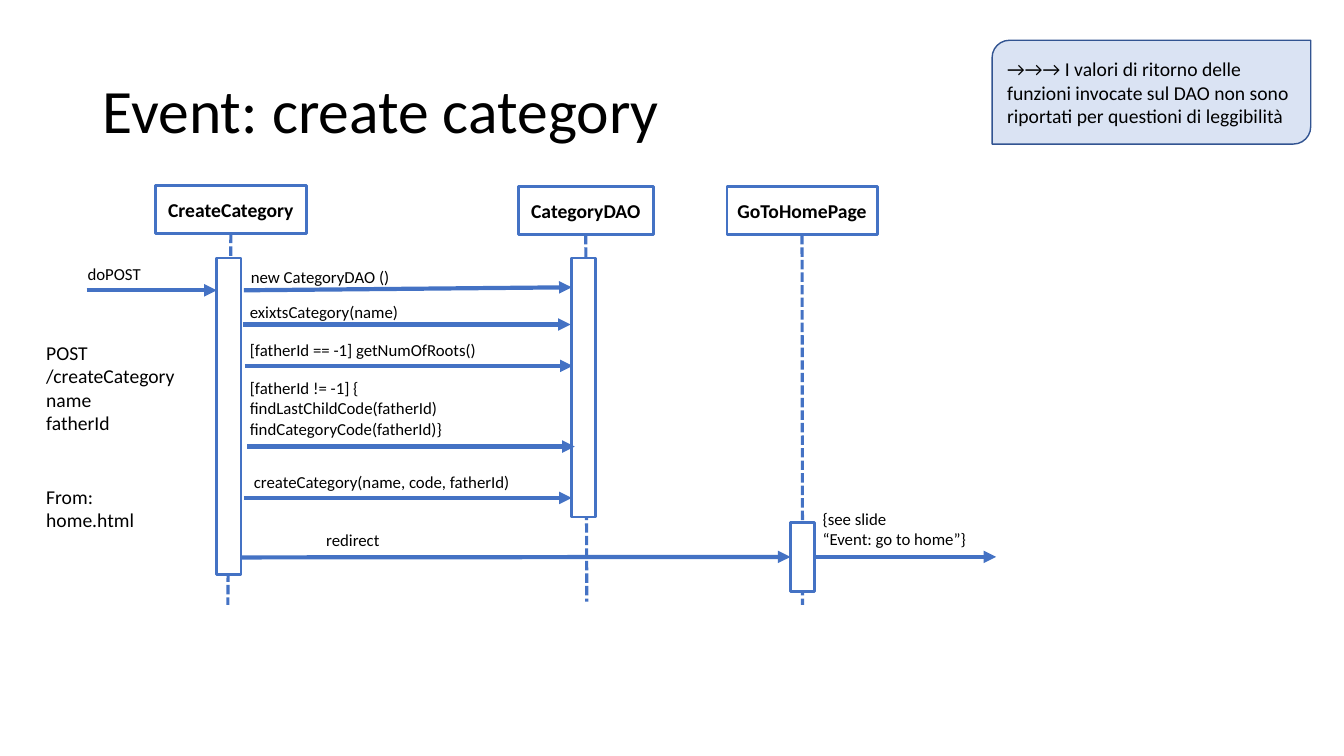
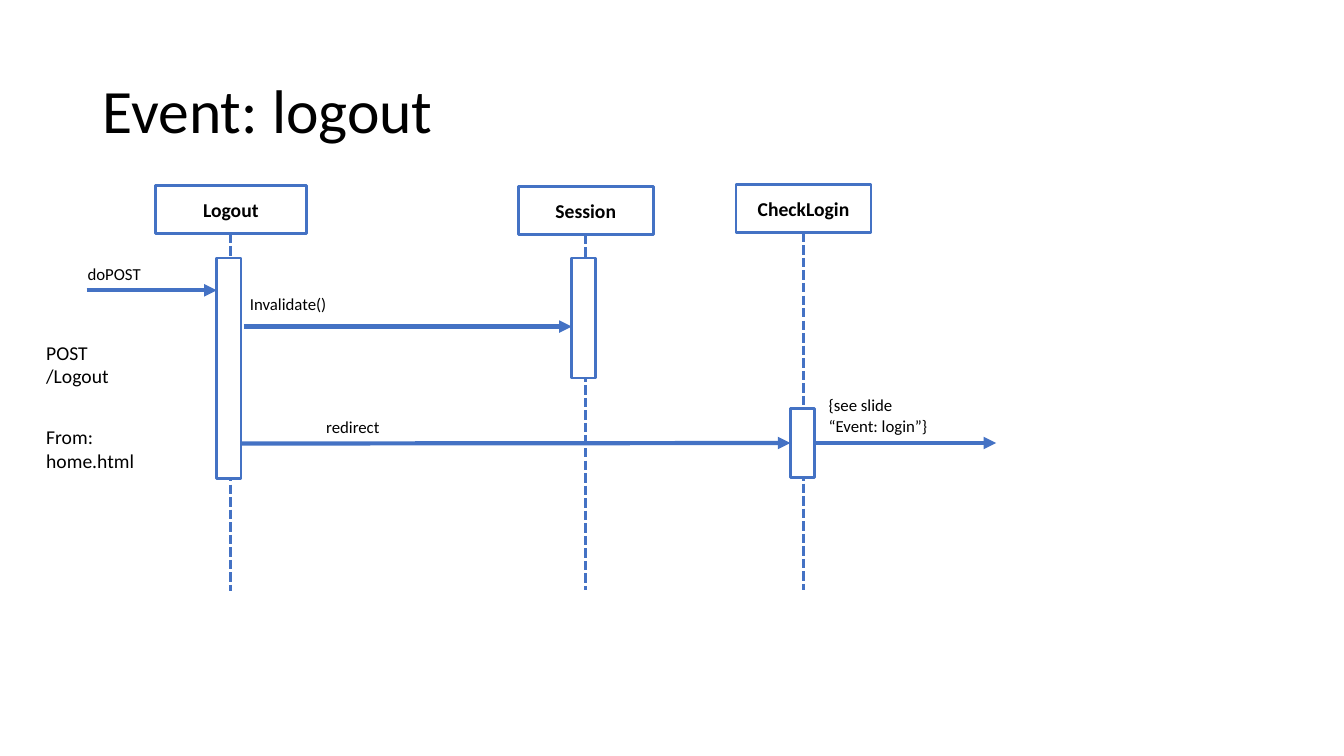
"""Build two sequence diagram slides for web application events."""
from lxml.etree import SubElement
from pptx import Presentation
from pptx.dml.color import RGBColor
from pptx.enum.dml import MSO_LINE
from pptx.enum.shapes import MSO_CONNECTOR, MSO_SHAPE
from pptx.enum.text import MSO_ANCHOR, PP_ALIGN
from pptx.oxml.ns import qn
from pptx.util import Inches, Pt

BLUE = RGBColor(0x44, 0x72, 0xC4)
NAVY = RGBColor(0x32, 0x54, 0x91)
PALE = RGBColor(0xDA, 0xE3, 0xF3)
WHITE = RGBColor(0xFF, 0xFF, 0xFF)
BLACK = RGBColor(0, 0, 0)
FONT = "Calibri"

BAR_W = 0.24
BAR_X = (2.15, 5.67, 7.84)
HEAD_H = 0.48
POST = ("doPOST", 0.77, 2.57, 0.83)
POST_ARROW = (0.86, 2.88, 2.15, 2.88)
EXIT_X = 9.88

# Lifelines: name, head (left, top, width), bar (top, height), line end (x, y)
SLIDES = [
    {
        "title": "Event: create category",
        "lives": [
            ("CreateCategory", (1.54, 1.84, 1.5), (2.56, 3.14), (2.26, 6)),
            ("CategoryDAO", (5.14, 1.85, 1.34), (2.56, 2.57), (5.82, 5.97)),
            ("GoToHomePage", (7.21, 1.85, 1.49), (5.18, 0.69), (7.96, 6)),
        ],
        "calls": [
            (2.42, 2.88, 5.67, 2.85),
            (2.41, 3.22, 5.66, 3.22),
            (2.43, 3.63, 5.68, 3.63),
            (2.45, 4.43, 5.7, 4.43),
            (2.42, 4.94, 5.67, 4.94),
        ],
        "labels": [
            ("new CategoryDAO ()", 2.39, 2.6, 1.6),
            ("exixtsCategory(name)", 2.38, 2.94, 2.63),
            ("[fatherId == -1] getNumOfRoots()", 2.38, 3.32, 2.63),
            ("[fatherId != -1] {\nfindLastChildCode(fatherId)\n"
             "findCategoryCode(fatherId)}", 2.38, 3.7, 3.33),
            ("createCategory(name, code, fatherId)", 2.42, 4.63, 3.1),
            ("{see slide\n“Event: go to home”}", 8.06, 5, 1.86),
        ],
        "redirect": 5.53,
        "request": "POST\n/createCategory\nname\nfatherId",
        "from": 4.76,
        "note": "→→→ I valori di ritorno delle funzioni invocate sul DAO "
                "non sono riportati per questioni di leggibilità",
    },
    {
        "title": "Event: logout",
        "lives": [
            ("Logout", (1.54, 1.84, 1.5), (2.56, 2.19), (2.29, 5.86)),
            ("Session", (5.14, 1.85, 1.34), (2.56, 1.19), (5.81, 5.85)),
            ("CheckLogin", (7.3, 1.83, 1.34), (4.05, 0.69), (7.97, 5.85)),
        ],
        "calls": [(2.42, 3.24, 5.67, 3.24)],
        "labels": [
            ("Invalidate()", 2.38, 2.86, 1.6),
            ("{see slide\n“Event: login”}", 8.12, 3.87, 1.86),
        ],
        "redirect": 4.4,
        "request": "POST\n/Logout",
        "from": 4.17,
        "note": None,
    },
]


def write(shape, text, size, align=PP_ALIGN.LEFT, bold=False):
    frame = shape.text_frame
    frame.word_wrap = True
    frame.text = text
    for para in frame.paragraphs:
        para.alignment = align
        para.font.name = FONT
        para.font.size = Pt(size)
        para.font.bold = bold
        para.font.color.rgb = BLACK
    return frame


def label(slide, text, left, top, width, height=0.29, size=12, align=PP_ALIGN.LEFT):
    box = slide.shapes.add_textbox(*map(Inches, (left, top, width, height)))
    return write(box, text, size, align)


def block(slide, left, top, width, height, kind=MSO_SHAPE.RECTANGLE,
          fill=WHITE, edge=BLUE, weight=2):
    shape = slide.shapes.add_shape(kind, *map(Inches, (left, top, width, height)))
    shape.shadow.inherit = False
    shape.fill.solid()
    shape.fill.fore_color.rgb = fill
    shape.line.color.rgb = edge
    shape.line.width = Pt(weight)
    return shape


def link(slide, ends, start=None, stop=None, dashed=False):
    wire = slide.shapes.add_connector(MSO_CONNECTOR.STRAIGHT, *map(Inches, ends))
    wire.line.color.rgb = BLUE
    wire.line.width = Pt(2.25 if dashed else 3)
    props = wire.element.spPr
    if dashed:
        wire.line.dash_style = MSO_LINE.SQUARE_DOT
    else:
        SubElement(props.find(qn("a:ln")), qn("a:tailEnd"), type="triangle")
    SubElement(props, qn("a:effectLst"))
    if start:
        wire.begin_connect(*start)
    if stop:
        wire.end_connect(*stop)


def lifelines(slide, lives):
    for name, (left, top, width), _, (x, y) in lives:
        head = block(slide, left, top, width, HEAD_H)
        frame = write(head, name, 14, PP_ALIGN.CENTER, True)
        frame.vertical_anchor = MSO_ANCHOR.MIDDLE
        link(slide, (left + width / 2, top + HEAD_H, x, y), (head, 2), dashed=True)
    return [block(slide, x, top, BAR_W, height)
            for x, (_, _, (top, height), _) in zip(BAR_X, lives)]


def build(slide, data):
    title = label(slide, data["title"], 0.92, 0.4, 11.5, 1.45, 44)
    title.vertical_anchor = MSO_ANCHOR.MIDDLE
    title.paragraphs[0].line_spacing = 0.9

    target = lifelines(slide, data["lives"])[-1]
    for ends in [POST_ARROW, *data["calls"]]:
        link(slide, ends)
    y = data["redirect"]
    link(slide, (2.4, y, BAR_X[-1], y), stop=(target, 1))
    top, height = data["lives"][-1][2]
    middle = top + height / 2
    link(slide, (BAR_X[-1] + BAR_W, middle, EXIT_X, middle), (target, 3))

    for item in [POST, *data["labels"]]:
        label(slide, *item)
    label(slide, "redirect", 2.45, y - 0.32, 2.1, align=PP_ALIGN.CENTER)
    label(slide, data["request"], 0.36, 3.33, 1.64, size=14)
    label(slide, "From:\nhome.html", 0.36, data["from"], 1.64, size=14)

    if data["note"]:
        note = block(slide, 9.84, 0.4, 3.16, 1.03,
                     MSO_SHAPE.ROUND_2_DIAG_RECTANGLE, PALE, NAVY, 1)
        write(note, data["note"], 14).vertical_anchor = MSO_ANCHOR.MIDDLE


def main():
    deck = Presentation()
    deck.slide_width, deck.slide_height = Inches(13.33), Inches(7.5)
    for data in SLIDES:
        build(deck.slides.add_slide(deck.slide_layouts[6]), data)
    deck.save("out.pptx")


if __name__ == "__main__":
    main()
